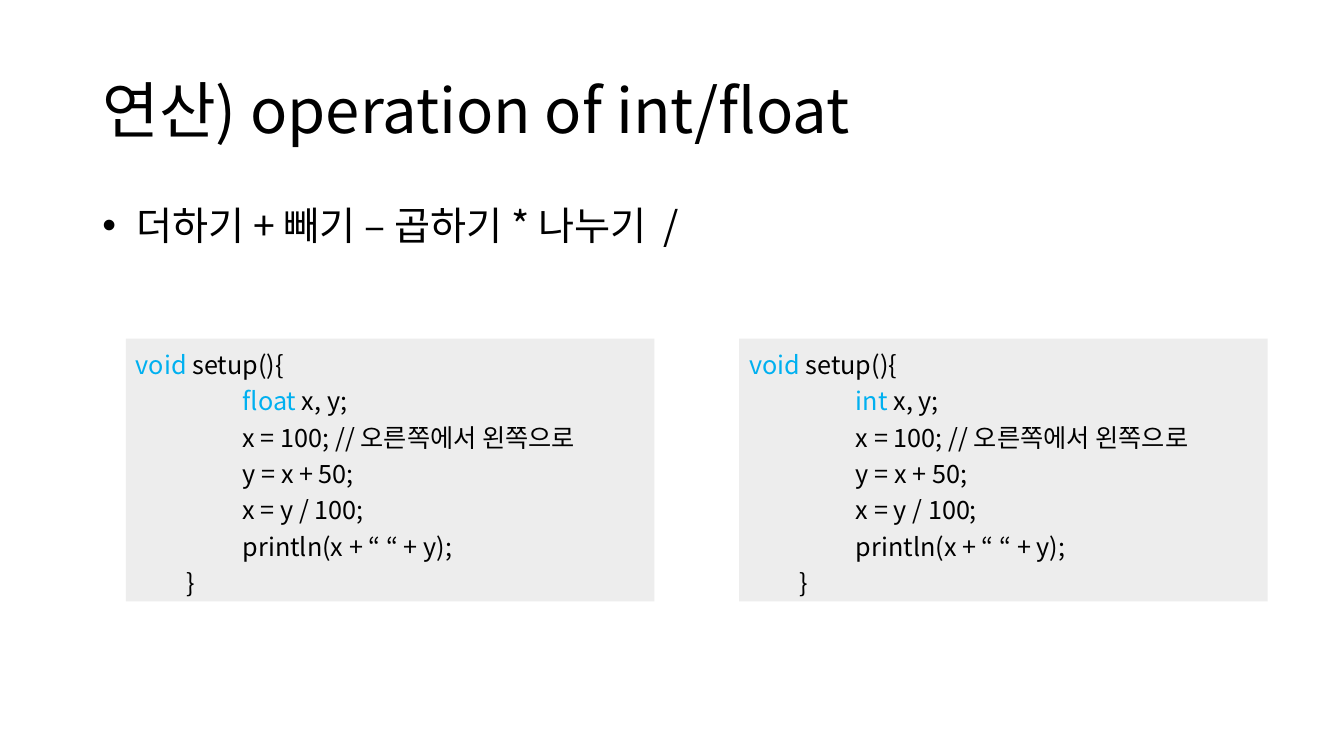
from dataclasses import dataclass

from lxml import etree
from pptx import Presentation
from pptx.dml.color import RGBColor
from pptx.enum.shapes import MSO_SHAPE
from pptx.enum.text import MSO_ANCHOR, PP_ALIGN
from pptx.oxml.ns import qn
from pptx.util import Inches, Pt

RECT = MSO_SHAPE.RECTANGLE
TOP, MIDDLE = MSO_ANCHOR.TOP, MSO_ANCHOR.MIDDLE
LEFT = PP_ALIGN.LEFT
COLS, ROWS = 160, 90


@dataclass(frozen=True)
class Theme:
    """Hold the font, colours and type sizes."""
    font: str = "Noto Sans CJK KR"
    ink: str = "000000"
    key: str = "00B0F0"
    panel: str = "EDEDED"
    title: int = 44
    body: int = 28
    code: int = 18


def write(para, runs, theme, size, lead=0.9, before=0, indent=0, hang=0, bullet=None):
    """Fill a paragraph with (text, colour) runs and set its format."""
    para.alignment, para.line_spacing, para.space_before = LEFT, lead, Pt(before)
    props = para._p.get_or_add_pPr()
    props.set("marL", str(Inches(indent)))
    props.set("indent", str(Inches(-hang)))
    if bullet:
        etree.SubElement(props, qn("a:buFont"), typeface="Arial")
        etree.SubElement(props, qn("a:buChar"), char=bullet)
    for text, color in runs:
        run = para.add_run()
        run.text = text
        font = run.font
        font.size, font.name = Pt(size), theme.font
        font.color.rgb = RGBColor.from_string(color)
        etree.SubElement(run._r.get_or_add_rPr(), qn("a:ea"), typeface=theme.font)


class Deck:
    """Draw styled elements on the current slide."""

    def __init__(self, theme):
        """Open a wide deck with one blank slide."""
        self.theme = theme
        self.file = Presentation()
        self.file.slide_width, self.file.slide_height = Inches(13.33), Inches(7.5)
        self.slide = self.file.slides.add_slide(self.file.slide_layouts[6])

    def place(self, col, row, wide, high):
        """Turn grid columns and rows into lengths."""
        unit_x, unit_y = self.file.slide_width / COLS, self.file.slide_height / ROWS
        return [round(n * u) for n, u in zip((col, row, wide, high), (unit_x, unit_y) * 2)]

    def text(self, area, words, size, anchor=TOP, **form):
        """Add a text box of one paragraph."""
        frame = self.slide.shapes.add_textbox(*self.place(*area)).text_frame
        frame.word_wrap, frame.vertical_anchor = True, anchor
        write(frame.paragraphs[0], [(words, self.theme.ink)], self.theme, size, **form)

    def code(self, area, lines):
        """Add a panel of (indent, keyword, rest) code lines."""
        theme = self.theme
        box = self.slide.shapes.add_shape(RECT, *self.place(*area))
        box.shadow.inherit = False
        box.fill.solid()
        box.fill.fore_color.rgb = RGBColor.from_string(theme.panel)
        box.line.fill.background()
        frame = box.text_frame
        frame.word_wrap, frame.vertical_anchor = True, TOP
        for i, (indent, key, rest) in enumerate(lines):
            para = frame.add_paragraph() if i else frame.paragraphs[0]
            runs = [(t, c) for t, c in ((key, theme.key), (rest, theme.ink)) if t]
            write(para, runs, theme, theme.code, lead=1.2, indent=indent)


def main():
    """Build the slide and save it."""
    theme = Theme()
    deck = Deck(theme)
    deck.text((11, 4.8, 138, 17.4), "연산) operation of int/float", theme.title, anchor=MIDDLE)
    deck.text((11, 24, 138, 57.1), " 더하기 + 빼기 – 곱하기 * 나누기  /", theme.body,
              before=10, indent=0.25, hang=0.25, bullet="•")
    steps = ["x = 100; // 오른쪽에서 왼쪽으로", "y = x + 50;", "x = y / 100;", "println(x + “ “ + y);"]
    for i, kind in enumerate(("float", "int")):
        lines = [(0, "void", " setup(){"), (1.06, kind, " x, y;")]
        lines += [(1.06, "", step) for step in steps] + [(0.5, "", "}")]
        deck.code((15 + 73 * i, 40.3, 62.9, 31.3), lines)
    deck.file.save("out.pptx")


main()
